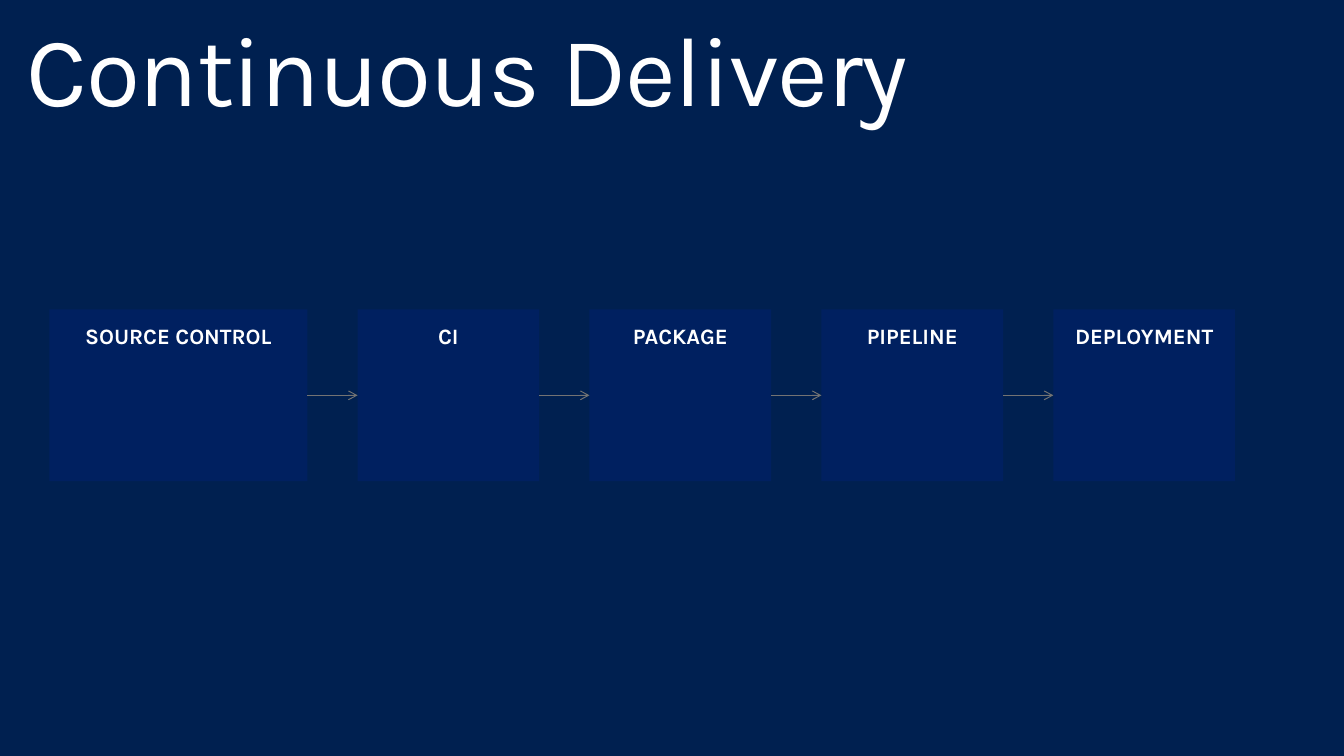
from lxml import etree
from pptx import Presentation
from pptx.dml.color import RGBColor
from pptx.enum.shapes import MSO_CONNECTOR, MSO_SHAPE
from pptx.enum.text import MSO_ANCHOR, MSO_AUTO_SIZE, PP_ALIGN
from pptx.oxml.ns import qn
from pptx.util import Cm, Pt

TITLE = "Continuous Delivery"
# Stage name, box width in cm
STAGES = [
    ("SOURCE CONTROL", 6.63),
    ("CI", 4.67),
    ("PACKAGE", 4.67),
    ("PIPELINE", 4.67),
    ("DEPLOYMENT", 4.67),
]

FONT = "Karla"
BACKGROUND = "002050"
BOX_FILL = "002060"
ARROW = "737373"
WHITE = "FFFFFF"

STAGES_LEFT, STAGES_TOP, STAGE_HEIGHT, STAGE_GAP = 1.27, 7.95, 4.42, 1.29

RECTANGLE = MSO_SHAPE.RECTANGLE
STRAIGHT = MSO_CONNECTOR.STRAIGHT
LEFT_SITE, RIGHT_SITE = 1, 3
TOP = MSO_ANCHOR.TOP
LEFT, CENTER = PP_ALIGN.LEFT, PP_ALIGN.CENTER


def color(value):
    return RGBColor.from_string(value)


def set_text(shape, text, size, bold, alignment, margin_x, margin_y):
    frame = shape.text_frame
    frame.text = text
    frame.word_wrap = True
    frame.auto_size = MSO_AUTO_SIZE.NONE
    frame.vertical_anchor = TOP
    frame.margin_left = frame.margin_right = Cm(margin_x)
    frame.margin_top = frame.margin_bottom = Cm(margin_y)
    paragraph = frame.paragraphs[0]
    paragraph.alignment = alignment
    paragraph.line_spacing = 0.9
    paragraph.space_before = Pt(0)
    font = paragraph.font
    font.name = FONT
    font.size = Pt(size)
    font.bold = bold
    font.color.rgb = color(WHITE)


def add_title(slide):
    title = slide.shapes.title
    title.left, title.top = Cm(0.28), Cm(0.3)
    title.width, title.height = Cm(33.02), Cm(3.28)
    set_text(title, TITLE, 72, False, LEFT, 0.41, 0.25)
    run = title.text_frame.paragraphs[0].runs[0]
    run.font._element.set("spc", "-100")


def add_stage(slide, name, left, width):
    box = slide.shapes.add_shape(
        RECTANGLE, Cm(left), Cm(STAGES_TOP), Cm(width), Cm(STAGE_HEIGHT)
    )
    box.shadow.inherit = False
    box.fill.solid()
    box.fill.fore_color.rgb = color(BOX_FILL)
    box.line.fill.background()
    set_text(box, name, 16, True, CENTER, 0.51, 0.41)
    return box


def add_arrow(slide, source, target):
    arrow = slide.shapes.add_connector(STRAIGHT, 0, 0, 0, 0)
    arrow.begin_connect(source, RIGHT_SITE)
    arrow.end_connect(target, LEFT_SITE)
    arrow.line.color.rgb = color(ARROW)
    arrow.line.width = Pt(0.75)
    properties = arrow._element.spPr
    etree.SubElement(properties.find(qn("a:ln")), qn("a:tailEnd"), type="arrow")
    etree.SubElement(properties, qn("a:effectLst"))


def main():
    presentation = Presentation()
    presentation.slide_width = Cm(34.54)
    presentation.slide_height = Cm(19.43)
    title_only = presentation.slide_layouts[5]
    slide = presentation.slides.add_slide(title_only)
    slide.background.fill.solid()
    slide.background.fill.fore_color.rgb = color(BACKGROUND)

    add_title(slide)
    boxes = []
    left = STAGES_LEFT
    for name, width in STAGES:
        boxes.append(add_stage(slide, name, left, width))
        left += width + STAGE_GAP
    for source, target in zip(boxes, boxes[1:]):
        add_arrow(slide, source, target)

    presentation.save("out.pptx")


if __name__ == "__main__":
    main()
